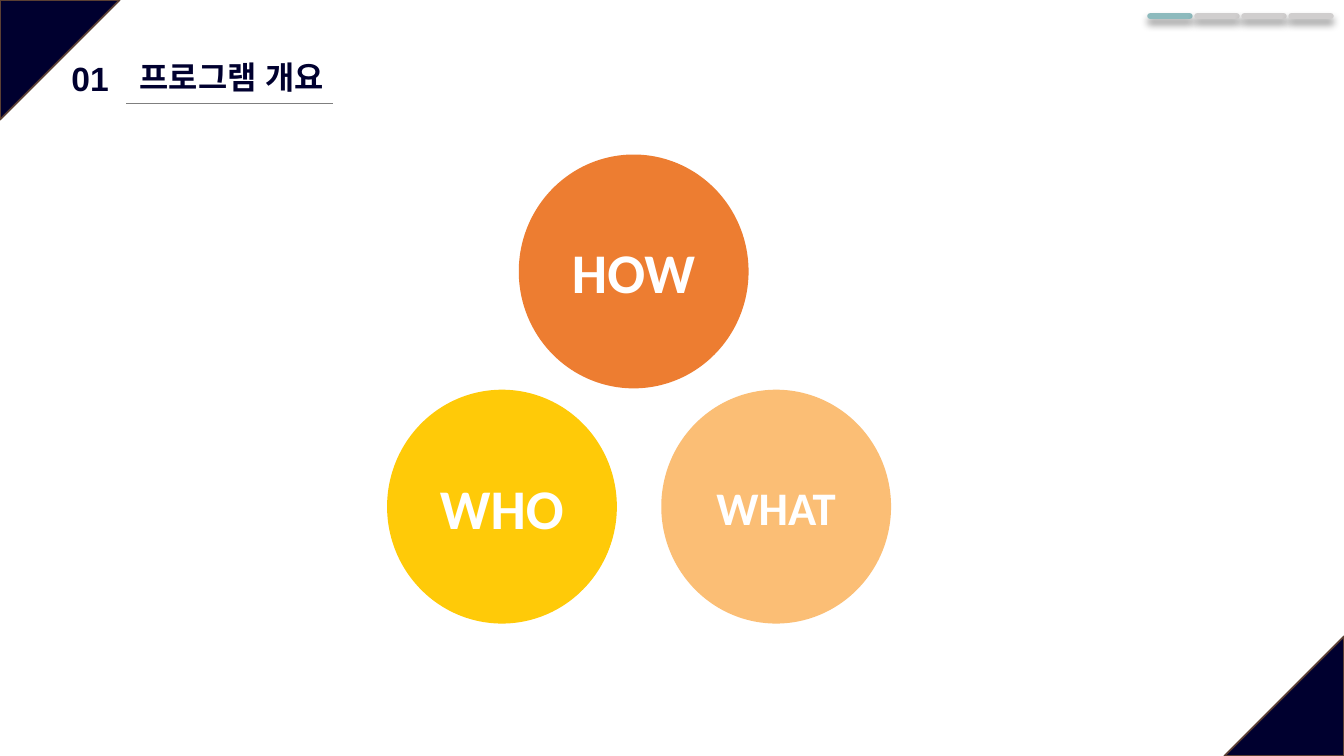
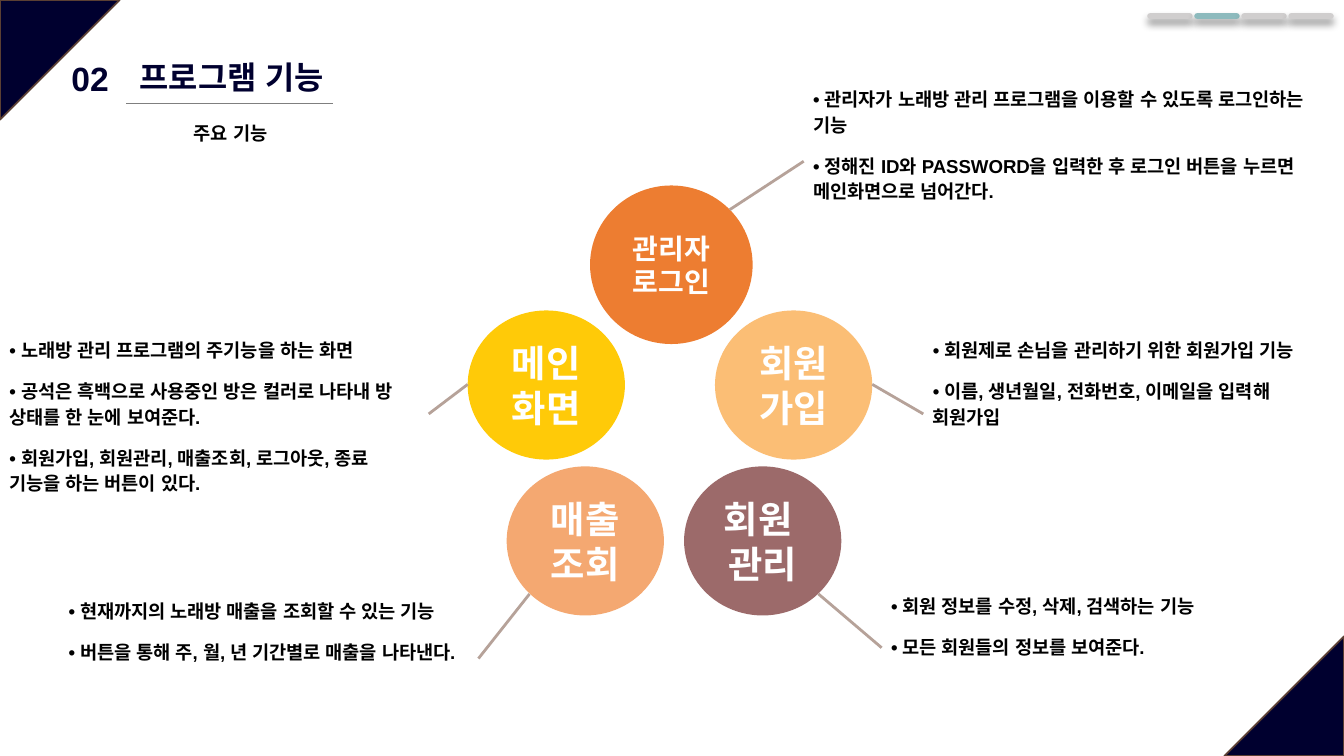
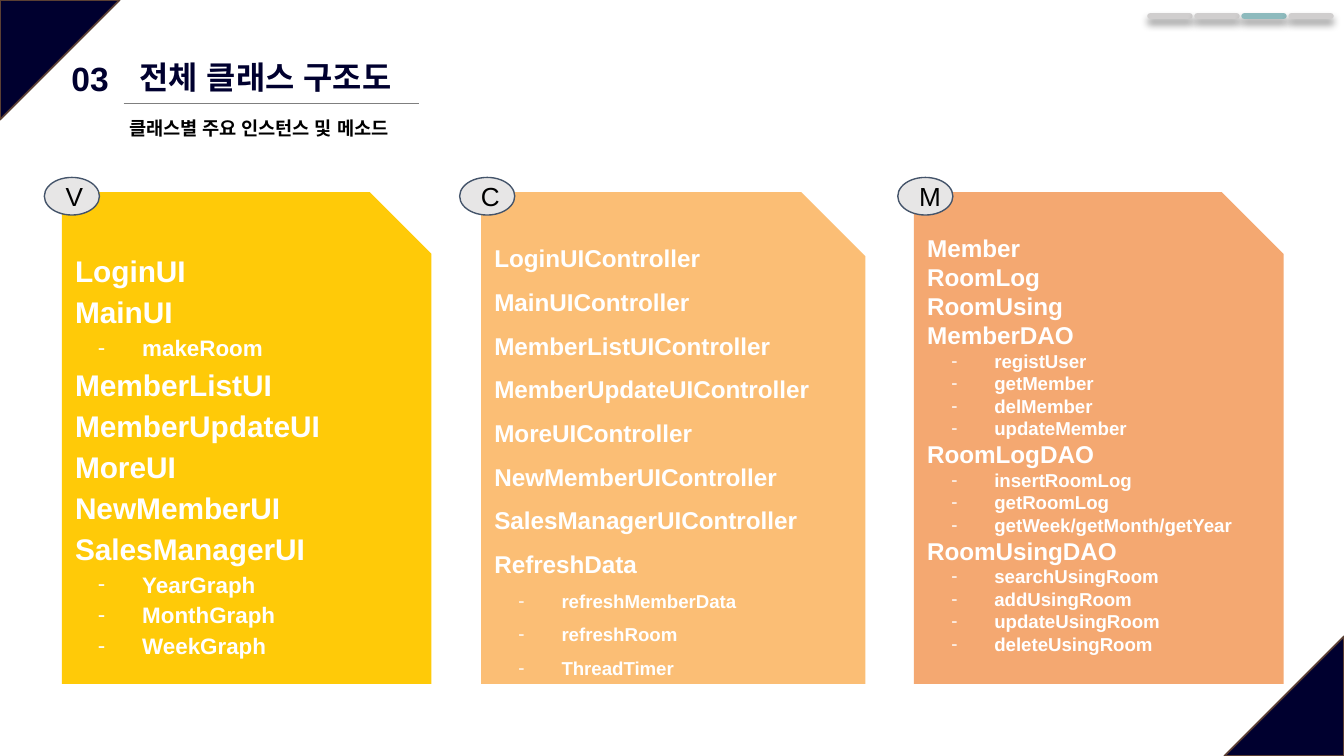
from dataclasses import dataclass

from lxml import etree
from pptx import Presentation
from pptx.dml.color import RGBColor
from pptx.enum.shapes import MSO_CONNECTOR, MSO_SHAPE
from pptx.enum.text import MSO_ANCHOR, PP_ALIGN
from pptx.oxml.ns import qn
from pptx.util import Inches, Pt

LINE = MSO_CONNECTOR.STRAIGHT
TRIANGLE, OVAL = MSO_SHAPE.ISOSCELES_TRIANGLE, MSO_SHAPE.OVAL
SNIPPED = MSO_SHAPE.SNIP_1_RECTANGLE
LEFT, CENTER = PP_ALIGN.LEFT, PP_ALIGN.CENTER
TOP, MIDDLE = MSO_ANCHOR.TOP, MSO_ANCHOR.MIDDLE

COLORS = {
    "navy": "00002F", "corner_edge": "5B3F33", "rule": "7F7F7F",
    "active": "8DBABD", "inactive": "D0CECE", "leader": "B6A299",
    "orange": "ED7D31", "yellow": "FFCA08", "peach": "FBBE75",
    "salmon": "F4A871", "plum": "9C6A6A", "badge": "E7E6E6",
    "badge_edge": "44546A", "white": "FFFFFF", "black": "000000",
}
WIDTH = 10
HEIGHT = WIDTH * 9 / 16
CORNER = 0.89
BOX_INSETS = (0.07, 0.04, 0.07, 0.04)
CIRCLE_INSETS = (0.1, 0.05, 0.1, 0.05)
BADGE_INSETS = (0.1, 0.1, 0.1, 0.1)


@dataclass
class Heading:
    number: int
    title: str
    title_box: tuple
    rule: tuple  # start x, end x


@dataclass
class Circle:
    lines: list
    box: tuple
    color: str
    size: float


@dataclass
class Note:
    lines: list
    box: tuple
    leader: tuple  # x1, y1, x2, y2


@dataclass
class Card:
    letter: str
    badge_left: float
    left: float
    width: float
    color: str
    lines: list  # a leading "-" marks a method
    size: float
    sub_size: float
    spacing: float
    hang: float
    insets: tuple = (0.1, 0.1, 0.1, 0.1)


def rgb(name: str) -> RGBColor:
    return RGBColor.from_string(COLORS[name])


# Text
def prepare(tf, insets: tuple, anchor=TOP) -> None:
    tf.word_wrap = True
    tf.vertical_anchor = anchor
    (tf.margin_left, tf.margin_top,
     tf.margin_right, tf.margin_bottom) = map(Inches, insets)


def add_text(tf, text: str, *, size: float, color="black", font="Arial", bold=True,
             align=LEFT, spacing=None, before=None, after=None):
    """Write one paragraph, using the empty first one if it is still free."""
    first = tf.paragraphs[0]
    p = tf.add_paragraph() if first.runs else first
    p.alignment = align
    if spacing:
        p.line_spacing = spacing
    if before:
        p.space_before = Pt(before)
    if after:
        p.space_after = Pt(after)
    r = p.add_run()
    r.text = text
    r.font.name, r.font.size, r.font.bold = font, Pt(size), bold
    r.font.color.rgb = rgb(color)
    etree.SubElement(r._r.get_or_add_rPr(), qn("a:ea"), typeface=font)
    return p


def add_dash(p, hang: float) -> None:
    pPr = p._p.get_or_add_pPr()
    pPr.set("marL", str(Inches(0.5)))
    pPr.set("indent", str(-Inches(hang)))
    clr = etree.SubElement(pPr, qn("a:buClr"))
    etree.SubElement(clr, qn("a:srgbClr"), val=COLORS["white"])
    etree.SubElement(pPr, qn("a:buFont"), typeface="Arial")
    etree.SubElement(pPr, qn("a:buChar"), char="-")


def add_box(s, box: tuple):
    tf = s.shapes.add_textbox(*map(Inches, box)).text_frame
    prepare(tf, BOX_INSETS)
    return tf


# Shapes and lines
def add_figure(s, kind, box: tuple, fill: str, edge=None, edge_width=1.0):
    sp = s.shapes.add_shape(kind, *map(Inches, box))
    sp.shadow.inherit = False
    sp.fill.solid()
    sp.fill.fore_color.rgb = rgb(fill)
    if edge:
        sp.line.color.rgb = rgb(edge)
        sp.line.width = Pt(edge_width)
    else:
        sp.line.fill.background()
    return sp


def add_line(s, ends: tuple, color: str, width: float):
    """Draw a straight line and return it with its empty effect list."""
    cxn = s.shapes.add_connector(LINE, *map(Inches, ends))
    cxn.line.color.rgb = rgb(color)
    cxn.line.width = Pt(width)
    return cxn, etree.SubElement(cxn._element.spPr, qn("a:effectLst"))


def add_progress(s, current: int) -> None:
    for i in range(4):
        x = 8.56 + 0.35 * i
        color = "active" if i + 1 == current else "inactive"
        cxn, effects = add_line(s, (x, 0.12, x + 0.29, 0.12), color, 3.5)
        cxn.line._get_or_add_ln().set("cap", "rnd")
        shadow = etree.SubElement(effects, qn("a:outerShdw"), blurRad=str(Pt(4)),
                                  dist=str(Pt(3)), dir="5400000", rotWithShape="0")
        clr = etree.SubElement(shadow, qn("a:srgbClr"), val=COLORS["black"])
        etree.SubElement(clr, qn("a:alpha"), val="40000")


def add_circle(s, c: Circle) -> None:
    tf = add_figure(s, OVAL, c.box, c.color).text_frame
    prepare(tf, CIRCLE_INSETS, MIDDLE)
    for line in c.lines:
        add_text(tf, line, size=c.size, color="white", font="Calibri", align=CENTER)


def add_note(s, note: Note) -> None:
    add_line(s, note.leader, "leader", 1.5)
    tf = add_box(s, note.box)
    for line in note.lines:
        after = 8 if line is note.lines[-1] else None
        add_text(tf, "• " + line, size=10, spacing=1.15, before=8, after=after)


def add_card(s, c: Card) -> None:
    sp = add_figure(s, SNIPPED, (c.left, 1.43, c.width, 3.66), c.color)
    sp.adjustments[0] = 0.167
    tf = sp.text_frame
    prepare(tf, c.insets, MIDDLE)
    for line in c.lines:
        sub = line.startswith("-")
        p = add_text(tf, line.lstrip("-"), size=c.sub_size if sub else c.size,
                     color="white", spacing=c.spacing)
        if sub:
            add_dash(p, c.hang)
    badge = add_figure(s, OVAL, (c.badge_left, 1.32, 0.41, 0.28), "badge",
                       "badge_edge", 0.75)
    prepare(badge.text_frame, BADGE_INSETS, MIDDLE)
    add_text(badge.text_frame, c.letter, size=14, bold=False)


# Shared frame: corners, heading, progress marks
def add_framed_slide(prs, h: Heading):
    s = prs.slides.add_slide(prs.slide_layouts[6])
    for x, y, turn in ((0, 0, 90), (WIDTH - CORNER, HEIGHT - CORNER, 270)):
        sp = add_figure(s, TRIANGLE, (x, y, CORNER, CORNER), "navy", "corner_edge")
        sp.adjustments[0] = 0
        sp.rotation = turn
    add_line(s, (h.rule[0], 0.77, h.rule[1], 0.77), "rule", 0.75)
    add_text(add_box(s, h.title_box), h.title, size=17, color="navy", align=CENTER)
    add_text(add_box(s, (0.42, 0.39, 0.5, 0.38)), f"{h.number:02}", size=18,
             color="navy", align=CENTER)
    add_progress(s, h.number)
    return s


SHORT_TITLE, SHORT_RULE = (0.84, 0.39, 1.77, 0.48), (0.94, 2.48)

QUESTIONS = [
    Circle(["HOW"], (3.86, 1.15, 1.71, 1.74), "orange", 30),
    Circle(["WHAT"], (4.92, 2.9, 1.71, 1.74), "peach", 25),
    Circle(["WHO"], (2.88, 2.9, 1.71, 1.74), "yellow", 30),
]

FEATURES = [
    Circle(["관리자", "로그인"], (4.39, 1.38, 1.21, 1.18), "orange", 15),
    Circle(["메인화면"], (3.48, 2.31, 1.17, 1.11), "yellow", 20),
    Circle(["회원가입"], (5.32, 2.31, 1.17, 1.11), "peach", 20),
    Circle(["매출", "조회"], (3.77, 3.47, 1.17, 1.11), "salmon", 20),
    Circle(["회원 ", "관리"], (5.09, 3.47, 1.17, 1.11), "plum", 20),
]

NOTES = [
    Note(["관리자가 노래방 관리 프로그램을 이용할 수 있도록 로그인하는 기능",
          "정해진 ID와 PASSWORD을 입력한 후 로그인 버튼을 누르면 메인화면으로 넘어간다."],
         (5.98, 0.59, 4.02, 1.23), (5.98, 1.2, 5.43, 1.56)),
    Note(["회원제로 손님을 관리하기 위한 회원가입 기능",
          "이름, 생년월일, 전화번호, 이메일을 입력해 회원가입"],
         (6.87, 2.46, 3.09, 1.23), (6.49, 2.86, 6.87, 3.08)),
    Note(["노래방 관리 프로그램의 주기능을 하는 화면",
          "공석은 흑백으로 사용중인 방은 컬러로 나타내 방 상태를 한 눈에 보여준다.",
          "회원가입, 회원관리, 매출조회, 로그아웃, 종료 기능을 하는 버튼이 있다."],
         (0, 2.46, 3.19, 1.23), (3.19, 3.08, 3.48, 2.86)),
    Note(["회원 정보를 수정, 삭제, 검색하는 기능",
          "모든 회원들의 정보를 보여준다."],
         (6.56, 4.36, 2.8, 0.92), (6.56, 4.82, 6.09, 4.42)),
    Note(["현재까지의 노래방 매출을 조회할 수 있는 기능",
          "버튼을 통해 주, 월, 년 기간별로 매출을 나타낸다."],
         (0.44, 4.4, 3.12, 0.99), (3.56, 4.9, 3.94, 4.42)),
]

CARDS = [
    Card("V", 0.33, 0.46, 2.75, "yellow",
         ["LoginUI", "MainUI", "-makeRoom", "MemberListUI", "MemberUpdateUI",
          "MoreUI", "NewMemberUI", "SalesManagerUI", "-YearGraph", "-MonthGraph",
          "-WeekGraph"], 16, 12, 1.15, 0.33),
    Card("C", 3.42, 3.58, 2.86, "peach",
         ["LoginUIController", "MainUIController", "MemberListUIController",
          "MemberUpdateUIController", "MoreUIController", "NewMemberUIController",
          "SalesManagerUIController", "RefreshData", "-refreshMemberData",
          "-refreshRoom", "-ThreadTimer"], 13, 10, 1.5, 0.32),
    Card("M", 6.68, 6.8, 2.75, "salmon",
         ["Member", "RoomLog", "RoomUsing", "MemberDAO", "-registUser", "-getMember",
          "-delMember", "-updateMember", "RoomLogDAO", "-insertRoomLog",
          "-getRoomLog", "-getWeek/getMonth/getYear", "RoomUsingDAO",
          "-searchUsingRoom", "-addUsingRoom", "-updateUsingRoom",
          "-deleteUsingRoom"], 13, 10, 1.0, 0.32, (0.1, 0.04, 0.1, 0.18)),
]


def main() -> None:
    prs = Presentation()
    prs.slide_width, prs.slide_height = Inches(WIDTH), Inches(HEIGHT)

    # Overview
    s = add_framed_slide(prs, Heading(1, "프로그램 개요", SHORT_TITLE, SHORT_RULE))
    for circle in QUESTIONS:
        add_circle(s, circle)

    # Features
    s = add_framed_slide(prs, Heading(2, "프로그램 기능", SHORT_TITLE, SHORT_RULE))
    add_text(add_box(s, (1.03, 0.87, 1.37, 0.3)), "주요 기능", size=10, align=CENTER)
    for circle in FEATURES:
        add_circle(s, circle)
    for note in NOTES:
        add_note(s, note)

    # Class structure
    s = add_framed_slide(prs, Heading(3, "전체 클래스 구조도",
                                      (0.85, 0.39, 2.25, 0.38), (0.92, 3.12)))
    add_text(add_box(s, (0.89, 0.83, 2.35, 0.3)), "클래스별 주요 인스턴스 및 메소드",
             size=10)
    for card in CARDS:
        add_card(s, card)

    prs.save("out.pptx")


if __name__ == "__main__":
    main()
